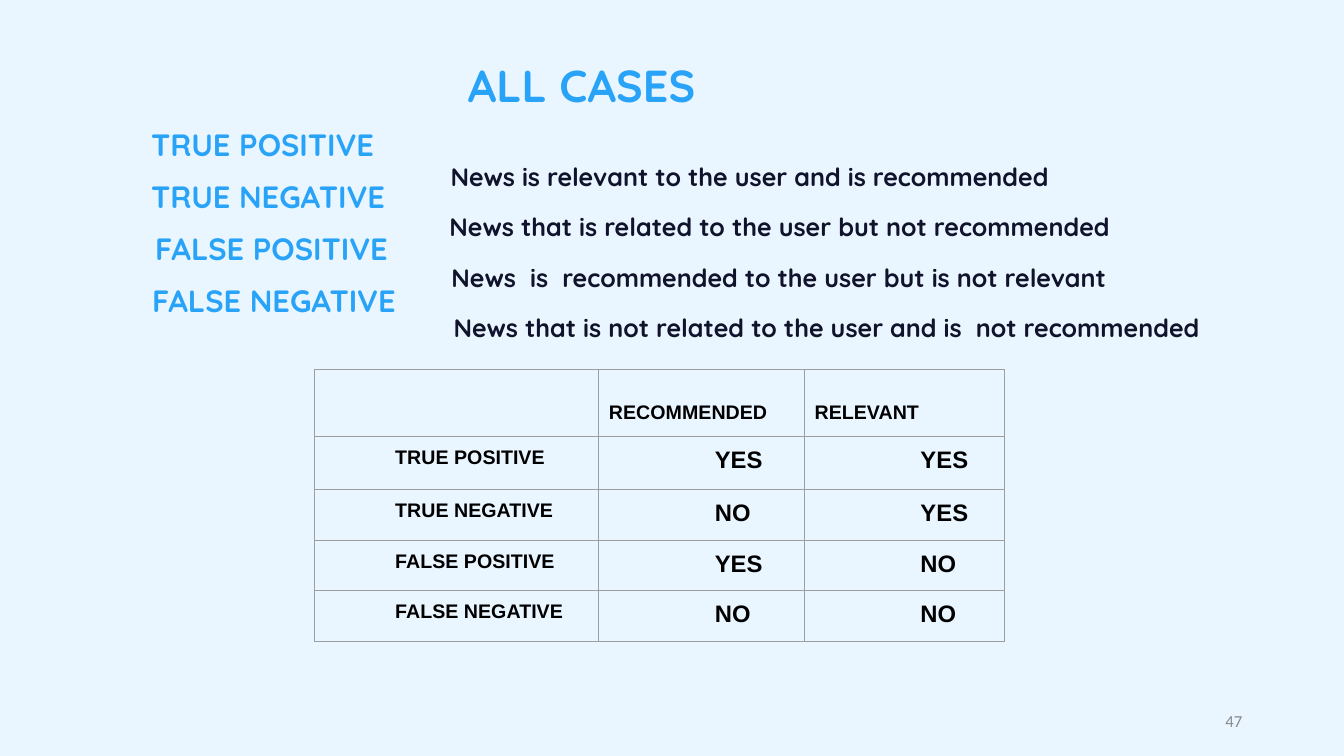
from lxml.etree import SubElement
from pptx import Presentation
from pptx.dml.color import RGBColor
from pptx.enum.text import MSO_ANCHOR, MSO_AUTO_SIZE, PP_ALIGN
from pptx.oxml.ns import qn
from pptx.util import Inches, Pt

SKY = RGBColor(0xEA, 0xF6, 0xFF)
BLUE = RGBColor(0x29, 0xA3, 0xF7)
NAVY = RGBColor(0x10, 0x13, 0x2B)
BLACK = RGBColor(0, 0, 0)
GRAY = RGBColor(0x88, 0x88, 0x8B)
RULE = RGBColor(0x9E, 0x9E, 0x9E)

TITLE = "ALL CASES"
CASES = [
    ("TRUE POSITIVE", 1.4, 3.35, "YES", "YES"),
    ("TRUE NEGATIVE", 1.4, 3.06, "NO", "YES"),
    ("FALSE POSITIVE", 1.44, 2.98, "YES", "NO"),
    ("FALSE NEGATIVE", 1.41, 2.85, "NO", "NO"),
]
NOTES = [
    ("News is relevant to the user and is recommended", 4.37),
    ("News that is related to the user but not recommended", 4.36),
    ("News  is  recommended to the user but is not relevant", 4.38),
    ("News that is not related to the user and is  not recommended", 4.4),
]
HEADS = ["", "RECOMMENDED", "RELEVANT"]
COLS = [2.82, 2.04, 1.98]
ROWS = [0.66, 0.53, 0.5, 0.5, 0.5]
INDENTS = [0.8, 1.15, 1.15]
SIZES = [14, 17, 17]


def style(par, size, color, face="Quicksand", bold=True):
    font = par.font
    font.name, font.size, font.bold = face, Pt(size), bold
    font.color.rgb = color


def write(shape, text, size, color, face="Quicksand", bold=True):
    frame = shape.text_frame
    frame.word_wrap = True
    frame.auto_size = MSO_AUTO_SIZE.NONE
    frame.vertical_anchor = MSO_ANCHOR.TOP
    frame.text = text
    par = frame.paragraphs[0]
    par.alignment = PP_ALIGN.LEFT
    style(par, size, color, face, bold)
    return par


def label(slide, box, text, *look):
    shape = slide.shapes.add_textbox(*map(Inches, box))
    return write(shape, text, *look)


def border(cell):
    props = cell._tc.get_or_add_tcPr()
    for spot, side in enumerate(("lnL", "lnR", "lnT", "lnB")):
        line = props.makeelement(qn(f"a:{side}"), {"w": str(Pt(0.75))})
        fill = SubElement(line, qn("a:solidFill"))
        SubElement(fill, qn("a:srgbClr"), val=str(RULE))
        props.insert(spot, line)


def add_grid(slide):
    frame = slide.shapes.add_table(
        len(ROWS), len(COLS), Inches(3.12), Inches(3.67),
        Inches(sum(COLS)), Inches(sum(ROWS)))
    table = frame.table
    for col, width in zip(table.columns, COLS):
        col.width = Inches(width)
    for row, height in zip(table.rows, ROWS):
        row.height = Inches(height)
    body = [(name, *marks) for name, _, _, *marks in CASES]
    for r, texts in enumerate([HEADS, *body]):
        for c, text in enumerate(texts):
            cell = table.cell(r, c)
            cell.text = text
            cell.fill.background()
            cell.margin_left = Inches(INDENTS[c] if r else 0.1)
            cell.margin_top = Inches(0.1 if r else 0.32)
            cell.margin_right = cell.margin_bottom = Inches(0.1)
            size = SIZES[c] if r else 14
            style(cell.text_frame.paragraphs[0], size, BLACK, "Arial")
            border(cell)


def main():
    deck = Presentation()
    deck.slide_width, deck.slide_height = Inches(13.33), Inches(7.5)
    slide = deck.slides.add_slide(deck.slide_layouts[5])
    slide.background.fill.solid()
    slide.background.fill.fore_color.rgb = SKY

    title = slide.shapes.title
    title.left, title.top = Inches(4.54), Inches(0.52)
    title.width, title.height = Inches(3.95), Inches(0.64)
    write(title, TITLE, 32, BLUE)

    for i, (name, left, width, *_) in enumerate(CASES):
        label(slide, (left, 1.2 + 0.515 * i, width, 0.47), name, 22, BLUE)
    for i, (text, left) in enumerate(NOTES):
        par = label(slide, (left, 1.25 + 0.5 * i, 8.3, 0.4), text, 18, NAVY)
        par.line_spacing = 2.0

    add_grid(slide)
    page = label(slide, (9.42, 6.95, 3, 0.4), "47", 12, GRAY, "Calibri", False)
    page.alignment = PP_ALIGN.RIGHT
    slide.shapes[-1].text_frame.vertical_anchor = MSO_ANCHOR.MIDDLE
    deck.save("out.pptx")


if __name__ == "__main__":
    main()
